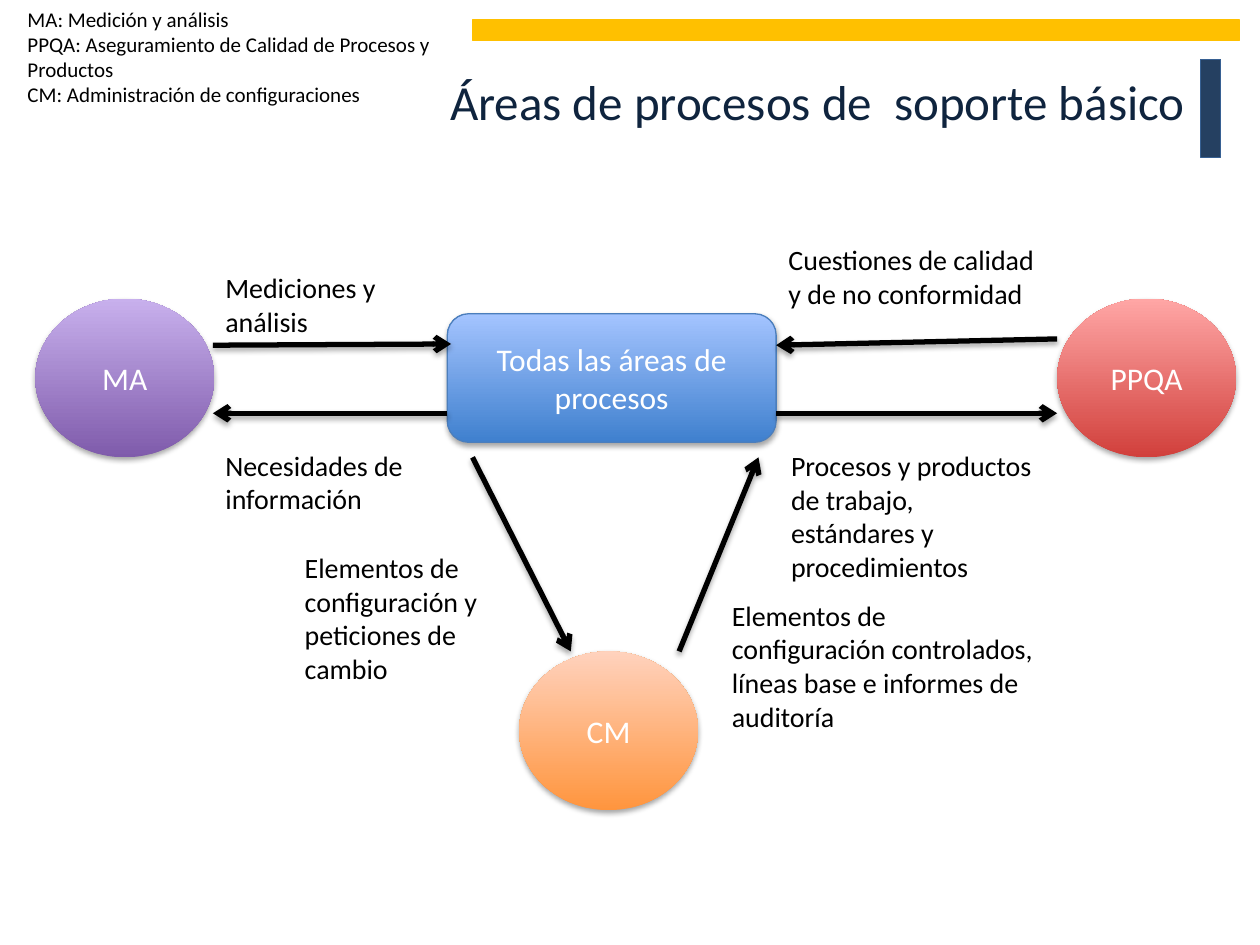
from lxml import etree
from pptx import Presentation, util as u
from pptx.dml.color import RGBColor
from pptx.enum import shapes, text
from pptx.oxml import parse_xml
from pptx.oxml.ns import nsdecls, qn

BLACK, WHITE = RGBColor(0, 0, 0), RGBColor(255, 255, 255)
NAVY, NAVY_EDGE = RGBColor(0x25, 0x40, 0x61), RGBColor(0x37, 0x60, 0x92)
GOLD, TITLE_INK = RGBColor(0xFF, 0xC0, 0x00), RGBColor(0x0F, 0x24, 0x3E)
BLUE, SKY = RGBColor(0x3F, 0x80, 0xCE), RGBColor(0xA4, 0xC4, 0xFF)
BLUE_EDGE = RGBColor(0x4B, 0x7E, 0xBC)
PURPLE, LILAC = RGBColor(0x7F, 0x5B, 0xAB), RGBColor(0xC8, 0xB0, 0xED)
RED, PINK = RGBColor(0xD1, 0x40, 0x3C), RGBColor(0xFF, 0xA6, 0xA5)
ORANGE, PEACH = RGBColor(0xFF, 0x95, 0x3E), RGBColor(0xFF, 0xD2, 0xBD)
SHADOW = (f'<a:effectLst {nsdecls("a")}><a:outerShdw blurRad="40000" dist="23000" '
          'dir="5400000" rotWithShape="0"><a:srgbClr val="000000">'
          '<a:alpha val="35000"/></a:srgbClr></a:outerShdw></a:effectLst>')

deck = Presentation()
deck.slide_width, deck.slide_height = u.Inches(10), u.Inches(7.5)
slide = deck.slides.add_slide(deck.slide_layouts[6])


def write(frame, lines, size, color, align):
    frame.word_wrap = True
    frame.text = "\n".join(lines)
    for paragraph in frame.paragraphs:
        paragraph.alignment = align
        paragraph.font.name = "Calibri"
        paragraph.font.size = u.Pt(size)
        paragraph.font.color.rgb = color


def cast_shadow(item):
    properties = item._element.spPr
    for old in properties.findall(qn("a:effectLst")):
        properties.remove(old)
    properties.append(parse_xml(SHADOW))


# Decorative bars
for box, fill, edge in [((9.53, 0.47, 0.16, 0.78), NAVY, NAVY_EDGE),
                        ((3.75, 0.16, 6.09, 0.16), GOLD, GOLD)]:
    bar = slide.shapes.add_shape(shapes.MSO_SHAPE.RECTANGLE, *map(u.Inches, box))
    bar.fill.solid()
    bar.fill.fore_color.rgb = fill
    bar.line.color.rgb = edge
    bar.line.width = u.Pt(0.75)
    bar.shadow.inherit = False

# Process areas: one central box, three circles of equal size
CIRCLE = (1.42, 1.26)
OVAL, ROUNDED = shapes.MSO_SHAPE.OVAL, shapes.MSO_SHAPE.ROUNDED_RECTANGLE
for name, kind, corner, extent, bottom, top, edge in [
        ("Todas las áreas de procesos", ROUNDED, (3.55, 2.49), (2.61, 1.02),
         BLUE, SKY, BLUE_EDGE),
        ("MA", OVAL, (0.28, 2.37), CIRCLE, PURPLE, LILAC, None),
        ("PPQA", OVAL, (8.39, 2.37), CIRCLE, RED, PINK, None),
        ("CM", OVAL, (4.12, 5.17), CIRCLE, ORANGE, PEACH, None)]:
    area = slide.shapes.add_shape(kind, *map(u.Inches, corner + extent))
    area.fill.gradient()
    area.fill.gradient_angle = 90
    for stop, position, color in zip(area.fill.gradient_stops, (0, 1), (bottom, top)):
        stop.position = position
        stop.color.rgb = color
    if edge:
        area.line.color.rgb = edge
        area.line.width = u.Pt(0.75)
    else:
        area.line.fill.background()
    cast_shadow(area)
    area.text_frame.vertical_anchor = text.MSO_ANCHOR.MIDDLE
    write(area.text_frame, [name], 18, WHITE, text.PP_ALIGN.CENTER)

# Flows between the areas
for flow in [(1.69, 2.74, 3.58, 2.73), (3.55, 3.28, 1.69, 3.28),
             (8.39, 2.69, 6.16, 2.74), (6.16, 3.28, 8.39, 3.28),
             (3.75, 3.63, 4.53, 5.17), (5.39, 5.17, 6.02, 3.63)]:
    arrow = slide.shapes.add_connector(shapes.MSO_CONNECTOR.STRAIGHT,
                                       *map(u.Inches, flow))
    arrow.line.color.rgb = BLACK
    arrow.line.width = u.Pt(3)
    etree.SubElement(arrow.line._get_or_add_ln(), qn("a:tailEnd"), type="arrow")
    cast_shadow(arrow)

# Title, legend and flow labels
LEFT, RIGHT = text.PP_ALIGN.LEFT, text.PP_ALIGN.RIGHT
for box, lines, size, color, align in [
        ((0.5, 0.52, 9, 1.25), ["Áreas de procesos de  soporte básico"],
         28, TITLE_INK, RIGHT),
        ((0.12, 0, 3.46, 0.91),
         ["MA: Medición y análisis",
          "PPQA: Aseguramiento de Calidad de Procesos y Productos",
          "CM: Administración de configuraciones"], 12, BLACK, LEFT),
        ((1.69, 2.1, 1.73, 0.64), ["Mediciones y análisis"], 16, BLACK, LEFT),
        ((1.69, 3.51, 1.79, 0.64), ["Necesidades de información"], 16, BLACK, LEFT),
        ((6.16, 1.88, 2.23, 0.64), ["Cuestiones de calidad y de no conformidad"],
         16, BLACK, LEFT),
        ((6.18, 3.51, 2.2, 1.18),
         ["Procesos y productos de trabajo, estándares y procedimientos"],
         16, BLACK, LEFT),
        ((2.32, 4.32, 1.79, 1.18),
         ["Elementos de configuración y peticiones de cambio"], 16, BLACK, LEFT),
        ((5.71, 4.7, 2.68, 1.18),
         ["Elementos de configuración controlados, líneas base e informes de auditoría"],
         16, BLACK, LEFT)]:
    label = slide.shapes.add_textbox(*map(u.Inches, box))
    write(label.text_frame, lines, size, color, align)

deck.save("out.pptx")
